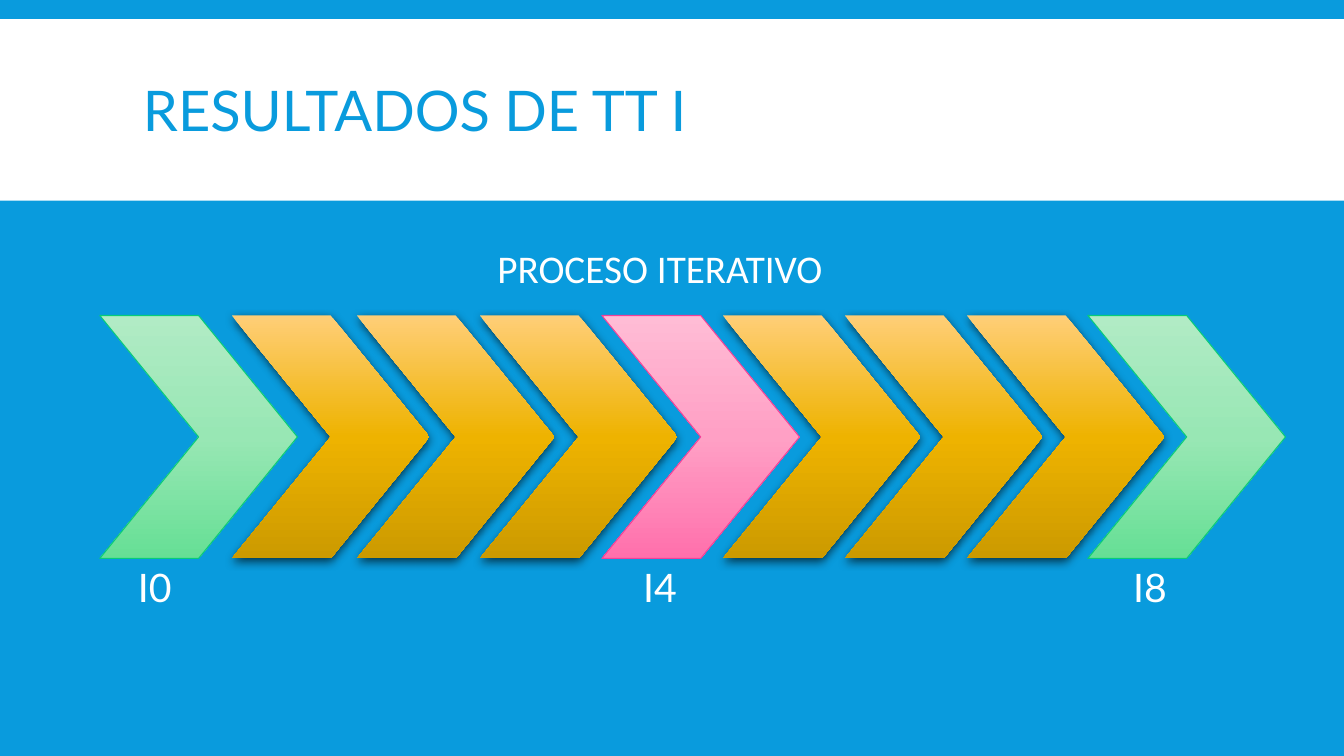
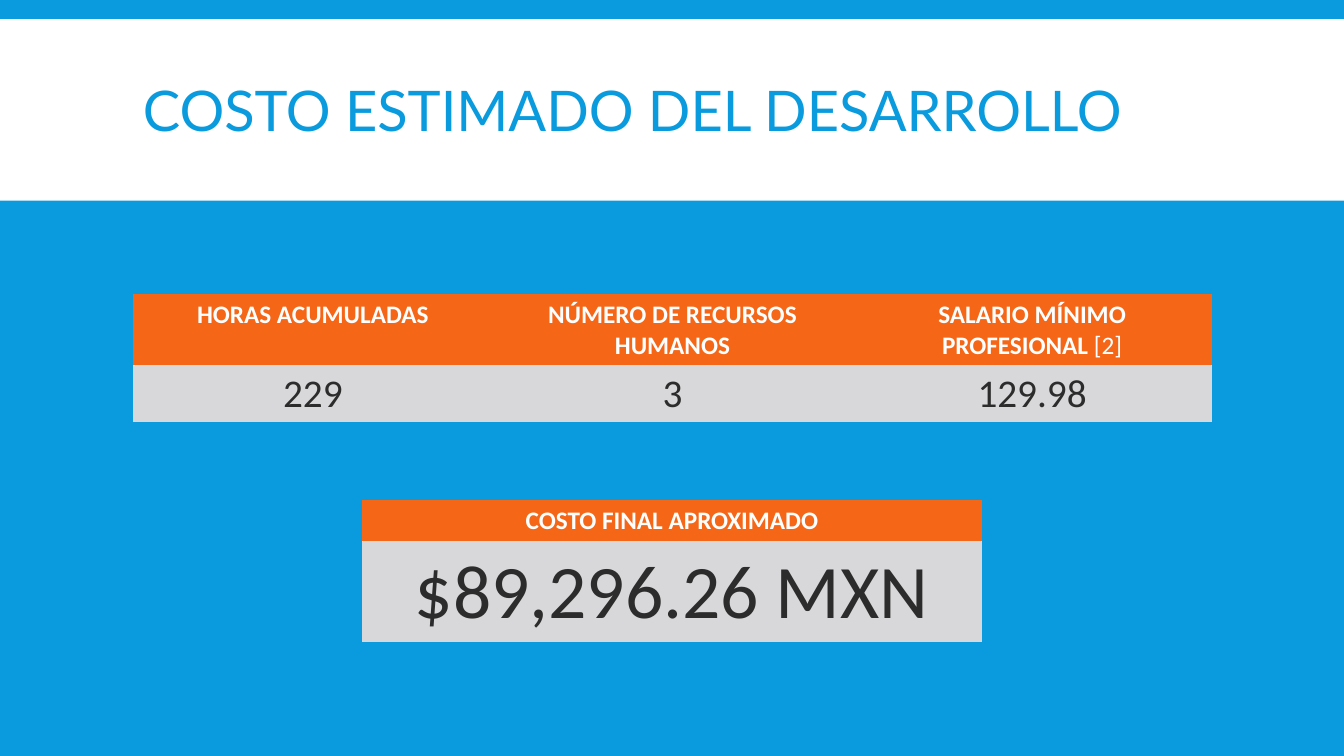
from lxml import etree
from pptx import Presentation
from pptx.dml.color import RGBColor
from pptx.enum.shapes import MSO_SHAPE
from pptx.enum.text import MSO_ANCHOR, MSO_AUTO_SIZE, PP_ALIGN
from pptx.oxml.ns import qn
from pptx.util import Inches, Pt

RECTANGLE, CHEVRON = MSO_SHAPE.RECTANGLE, MSO_SHAPE.CHEVRON
LEFT, CENTER = PP_ALIGN.LEFT, PP_ALIGN.CENTER
TOP, MIDDLE = MSO_ANCHOR.TOP, MSO_ANCHOR.MIDDLE
GROW, FIXED = MSO_AUTO_SIZE.SHAPE_TO_FIT_TEXT, MSO_AUTO_SIZE.NONE

BLUE, WHITE, ORANGE, GREY, INK = "099BDD", "FFFFFF", "F56617", "D8D8DA", "2C2C2C"
GREEN_BLEND = ("B1EBC5", "98E7B4", "66DF95")
GOLD_BLEND = ("FFCE77", "EEB300", "CC9A00")
PINK_BLEND = ("FFBCD5", "FFA0C5", "FF70AC")
GREEN_EDGE, PINK_EDGE = "08CC78", "F24099"
PLAIN_TABLE = "{2D5ABB26-0587-4C30-8999-92F81FD0307C}"


def color(value):
    return RGBColor.from_string(value)


def inches(*lengths):
    return [Inches(length) for length in lengths]


def write(frame, text, size=28, font="Lato", fill=WHITE, bold=False, align=CENTER, spacing=None):
    para = frame.paragraphs[0]
    para.alignment = align
    if spacing:
        para.line_spacing = spacing
    span = para.add_run()
    span.text = text
    span.font.size = Pt(size)
    span.font.name = font
    span.font.bold = bold
    span.font.color.rgb = color(fill)


class SlideBuilder:
    """Holds the deck style and the current page, and draws elements on it."""

    def __init__(self):
        self.deck = Presentation()
        self.deck.slide_width, self.deck.slide_height = inches(13.33, 7.5)
        self.page = None

    def start(self, title):
        self.page = self.deck.slides.add_slide(self.deck.slide_layouts[6])
        background = self.page.background.fill
        background.solid()
        background.fore_color.rgb = color(BLUE)
        band = self.shape(RECTANGLE, 0, 0.19, 13.33, 1.8)
        band.fill.solid()
        band.fill.fore_color.rgb = color(WHITE)
        self.text(title, 1.32, 0.31, 10.7, 1.65, anchor=MIDDLE, fit=FIXED,
                  size=40, fill=BLUE, align=LEFT, spacing=0.85)

    def shape(self, kind, *place):
        shape = self.page.shapes.add_shape(kind, *inches(*place))
        shape.shadow.inherit = False
        shape.line.fill.background()
        return shape

    def text(self, text, *place, anchor=TOP, fit=GROW, **style):
        box = self.page.shapes.add_textbox(*inches(*place))
        frame = box.text_frame
        frame.word_wrap = True
        frame.auto_size = fit
        frame.vertical_anchor = anchor
        write(frame, text, **style)

    def chevron(self, left, blend, edge=None):
        chevron = self.shape(CHEVRON, left, 3.13, 1.96, 2.41)
        self.blend(chevron, blend)
        if edge:
            chevron.line.color.rgb = color(edge)
            chevron.line.width = Pt(0.75)
        else:
            self.cast_shadow(chevron)

    def blend(self, shape, values):
        shape.fill.gradient()
        shape.fill.gradient_angle = 270
        stops = next(shape.element.iter(qn("a:gsLst")))
        for stop in list(stops):
            stops.remove(stop)
        for position, value in zip((0, 50000, 100000), values):
            stop = etree.SubElement(stops, qn("a:gs"), pos=str(position))
            etree.SubElement(stop, qn("a:srgbClr"), val=value)

    def cast_shadow(self, shape):
        effects = next(shape.element.iter(qn("a:effectLst")))
        shadow = etree.SubElement(effects, qn("a:outerShdw"), blurRad=str(Pt(7)),
                                  dist=str(Pt(2.2)), dir="5400000", rotWithShape="0")
        tint = etree.SubElement(shadow, qn("a:srgbClr"), val="000000")
        etree.SubElement(tint, qn("a:alpha"), val="63000")

    def table(self, headers, values, left, top, width, heights, value_size):
        holder = self.page.shapes.add_table(
            2, len(headers), *inches(left, top, width, sum(heights)))
        table = holder.table
        table.first_row = table.horz_banding = False
        next(holder.element.iter(qn("a:tableStyleId"))).text = PLAIN_TABLE
        for row, height in zip(table.rows, heights):
            row.height = Inches(height)
        for column, (header, value) in enumerate(zip(headers, values)):
            name, *note = header
            head = self.cell(table, 0, column, ORANGE)
            write(head, name, size=18, font="Calibri", bold=True)
            for part in note:
                write(head, part, size=18, font="Calibri")
            body = self.cell(table, 1, column, GREY)
            write(body, value, size=value_size, font="Calibri", fill=INK)

    def cell(self, table, row, column, fill):
        cell = table.cell(row, column)
        cell.fill.solid()
        cell.fill.fore_color.rgb = color(fill)
        return cell.text_frame


def build_process(slides):
    slides.start("RESULTADOS DE TT I")
    milestones = {0: (GREEN_BLEND, GREEN_EDGE), 4: (PINK_BLEND, PINK_EDGE),
                  8: (GREEN_BLEND, GREEN_EDGE)}
    lefts = (0.99, 2.3, 3.54, 4.76, 5.97, 7.17, 8.38, 9.59, 10.79)
    for step, left in enumerate(lefts):
        slides.chevron(left, *milestones.get(step, (GOLD_BLEND,)))
    slides.text("PROCESO ITERATIVO", 2.12, 2.37, 8.85, 0.57, font="Calibri")
    for step, left in zip(milestones, (1.09, 6.1, 10.96)):
        slides.text(f"I{step}", left, 5.54, 0.89, 0.57)


def build_cost(slides):
    slides.start("COSTO ESTIMADO DEL DESARROLLO")
    headers = [("HORAS ACUMULADAS",), ("NÚMERO DE RECURSOS HUMANOS",),
               ("SALARIO MÍNIMO PROFESIONAL ", "[2]")]
    slides.table(headers, ["229", "3", "129.98"], 1.32, 2.92, 10.7, (0.7, 0.57), 28)
    slides.table([("COSTO FINAL APROXIMADO",)], ["$89,296.26 MXN"],
                 3.59, 4.96, 6.15, (0.41, 1), 54)


def main():
    slides = SlideBuilder()
    build_process(slides)
    build_cost(slides)
    slides.deck.save("out.pptx")


if __name__ == "__main__":
    main()
